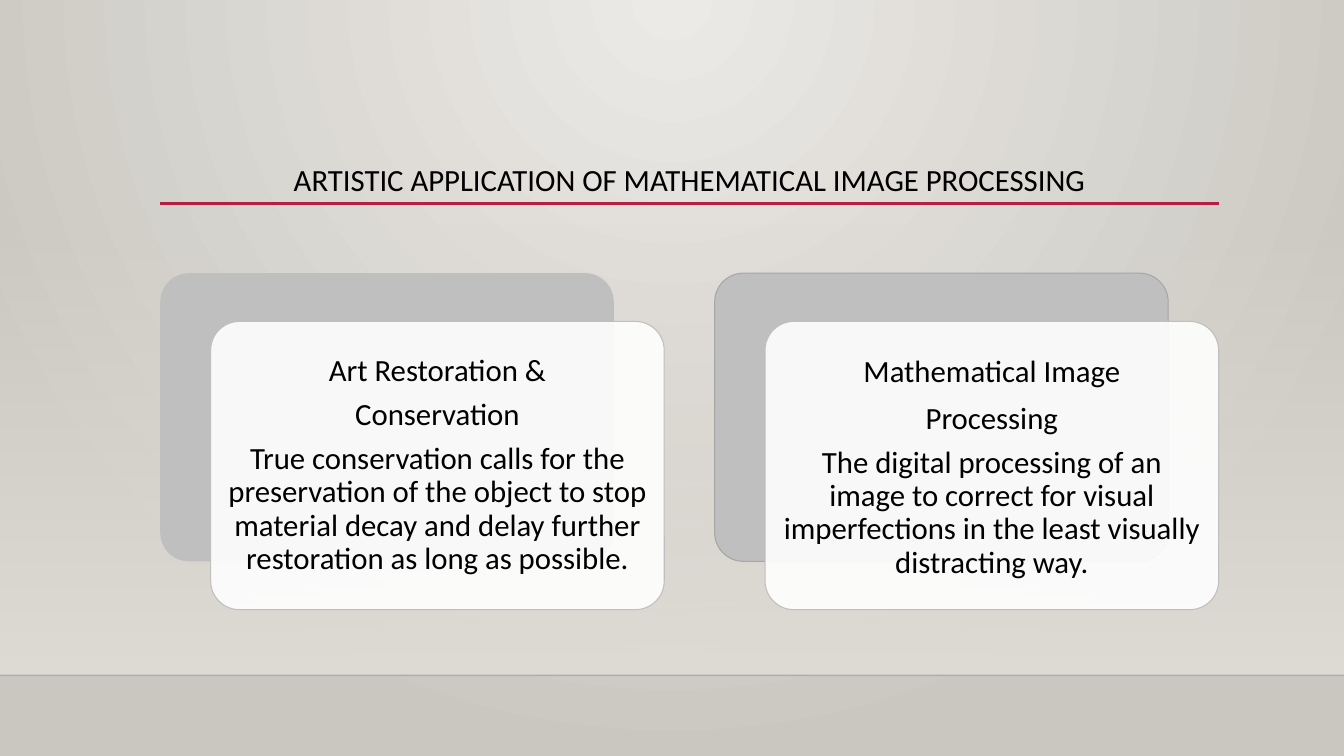
import pptx
import pptx.dml.color
import pptx.enum.shapes
import pptx.enum.text
import pptx.oxml
import pptx.oxml.ns
import pptx.util

Pt = pptx.util.Pt
RGBColor = pptx.dml.color.RGBColor
Shapes = pptx.enum.shapes.MSO_SHAPE
Anchor = pptx.enum.text.MSO_ANCHOR
qn = pptx.oxml.ns.qn
NAMESPACE = pptx.oxml.ns.nsdecls("a")

BLACK = RGBColor(0x00, 0x00, 0x00)
WHITE = RGBColor(0xFF, 0xFF, 0xFF)
CRIMSON = RGBColor(0xB7, 0x1E, 0x42)
PANEL_GREY = RGBColor(0xBF, 0xBF, 0xBF)
EDGE_GREY = RGBColor(0xA6, 0xA6, 0xA6)
BACKGROUND_LIGHT = RGBColor(0xEC, 0xEA, 0xE7)
BACKGROUND_DARK = RGBColor(0xCA, 0xC7, 0xC1)
WALL = RGBColor(0xDF, 0xDB, 0xD5)

FONT = "Calibri"
TEXT_SIZE = 22
SLIDE_WIDTH, SLIDE_HEIGHT = 960, 540
FLOOR_TOP = 482.4
LEFT = 114.5
CARD_TOP = 195.1
CARD_WIDTH, CARD_HEIGHT = 324, 205.9
CARD_STEP = 396
FRONT_SHIFT_X, FRONT_SHIFT_Y = 36, 34.5

TITLE = "ARTISTIC APPLICATION OF MATHEMATICAL IMAGE PROCESSING"
# Each card: edge of its back panel, then (text, line spacing) paragraphs
CARDS = [
    (None, [
        ("Art Restoration &", 0.9),
        ("Conservation", 0.9),
        ("True conservation calls for the preservation of the object to stop "
         "material decay and delay further restoration as long as possible.", 0.9),
    ]),
    (EDGE_GREY, [
        ("Mathematical Image", 1.0),
        ("Processing", 1.0),
        ("The digital processing of an image to correct for visual "
         "imperfections in the least visually distracting way.", 0.9),
    ]),
]


def set_opacity(color_element, percent):
    color_element.append(pptx.oxml.parse_xml(
        f'<a:alpha {NAMESPACE} val="{percent * 1000}"/>'))


def set_gradient(fill, first, last):
    fill.gradient()
    for stop, color, position in zip(fill.gradient_stops, (first, last), (0, 1)):
        stop.color.rgb = color
        stop.position = position


def add_background(slide):
    set_gradient(slide.background.fill, BACKGROUND_LIGHT, BACKGROUND_DARK)
    # Turn the linear gradient into a glow from the top centre
    linear = next(slide.element.iter(qn("a:lin")))
    linear.getparent().replace(linear, pptx.oxml.parse_xml(
        f'<a:path {NAMESPACE} path="circle">'
        '<a:fillToRect l="43000" t="0" r="43000" b="100000"/></a:path>'))


def add_wall(slide, top):
    wall = slide.shapes.add_shape(
        Shapes.RECTANGLE, 0, Pt(top), Pt(SLIDE_WIDTH), Pt(FLOOR_TOP - top))
    wall.shadow.inherit = False
    wall.line.fill.background()
    set_gradient(wall.fill, WALL, WALL)
    # Fade from clear at the top to solid at the floor
    set_opacity(next(wall.element.iter(qn("a:srgbClr"))), 0)
    linear = next(wall.element.spPr.iter(qn("a:lin")))
    linear.set("ang", "5400000")


def add_rule(slide, left, right, top, color, width, opacity=100):
    rule = slide.shapes.add_connector(
        pptx.enum.shapes.MSO_CONNECTOR.STRAIGHT,
        Pt(left), Pt(top), Pt(right), Pt(top))
    rule.line.color.rgb = color
    rule.line.width = Pt(width)
    if opacity < 100:
        set_opacity(next(rule.element.spPr.iter(qn("a:srgbClr"))), opacity)
    rule.element.spPr.append(pptx.oxml.parse_xml(f"<a:effectLst {NAMESPACE}/>"))


def add_paragraphs(text_frame, paragraphs, space_after):
    text_frame.word_wrap = True
    for index, (text, line_spacing) in enumerate(paragraphs):
        paragraph = text_frame.add_paragraph() if index else text_frame.paragraphs[0]
        paragraph.alignment = pptx.enum.text.PP_ALIGN.CENTER
        paragraph.line_spacing = line_spacing
        paragraph.space_after = Pt(space_after)
        run = paragraph.add_run()
        run.text = text
        run.font.name = FONT
        run.font.size = Pt(TEXT_SIZE)
        run.font.color.rgb = BLACK


def add_title(slide):
    box = slide.shapes.add_textbox(Pt(LEFT), Pt(63.2), Pt(756), Pt(82))
    box.text_frame.vertical_anchor = Anchor.BOTTOM
    add_paragraphs(box.text_frame, [(TITLE, 0.9)], 0)


def add_panel(slide, left, top, color, edge):
    panel = slide.shapes.add_shape(
        Shapes.ROUNDED_RECTANGLE, Pt(left), Pt(top), Pt(CARD_WIDTH), Pt(CARD_HEIGHT))
    panel.adjustments[0] = 0.1
    panel.shadow.inherit = False
    panel.fill.solid()
    panel.fill.fore_color.rgb = color
    if edge is None:
        panel.line.fill.background()
    else:
        panel.line.color.rgb = edge
        panel.line.width = Pt(0.75)
    return panel


def add_card(slide, left, back_edge, paragraphs):
    add_panel(slide, left, CARD_TOP, PANEL_GREY, back_edge)
    front = add_panel(slide, left + FRONT_SHIFT_X, CARD_TOP + FRONT_SHIFT_Y,
                      WHITE, PANEL_GREY)
    set_opacity(next(front.element.spPr.iter(qn("a:srgbClr"))), 90)
    frame = front.text_frame
    frame.margin_left = frame.margin_right = Pt(6.5)
    frame.margin_top = frame.margin_bottom = Pt(6.5)
    frame.vertical_anchor = Anchor.MIDDLE
    add_paragraphs(frame, paragraphs, 7.7)


def main():
    presentation = pptx.Presentation()
    presentation.slide_width = Pt(SLIDE_WIDTH)
    presentation.slide_height = Pt(SLIDE_HEIGHT)
    slide = presentation.slides.add_slide(presentation.slide_layouts[6])

    # Backdrop: glow, wall and floor line
    add_background(slide)
    add_wall(slide, 159)
    add_rule(slide, 0, SLIDE_WIDTH, FLOOR_TOP, BLACK, 1, opacity=20)

    # Title with its underline
    add_rule(slide, LEFT, 871, 145.3, CRIMSON, 2.5)
    add_title(slide)

    # Layered cards
    for index, (back_edge, paragraphs) in enumerate(CARDS):
        add_card(slide, LEFT + index * CARD_STEP, back_edge, paragraphs)

    presentation.save("out.pptx")


if __name__ == "__main__":
    main()
